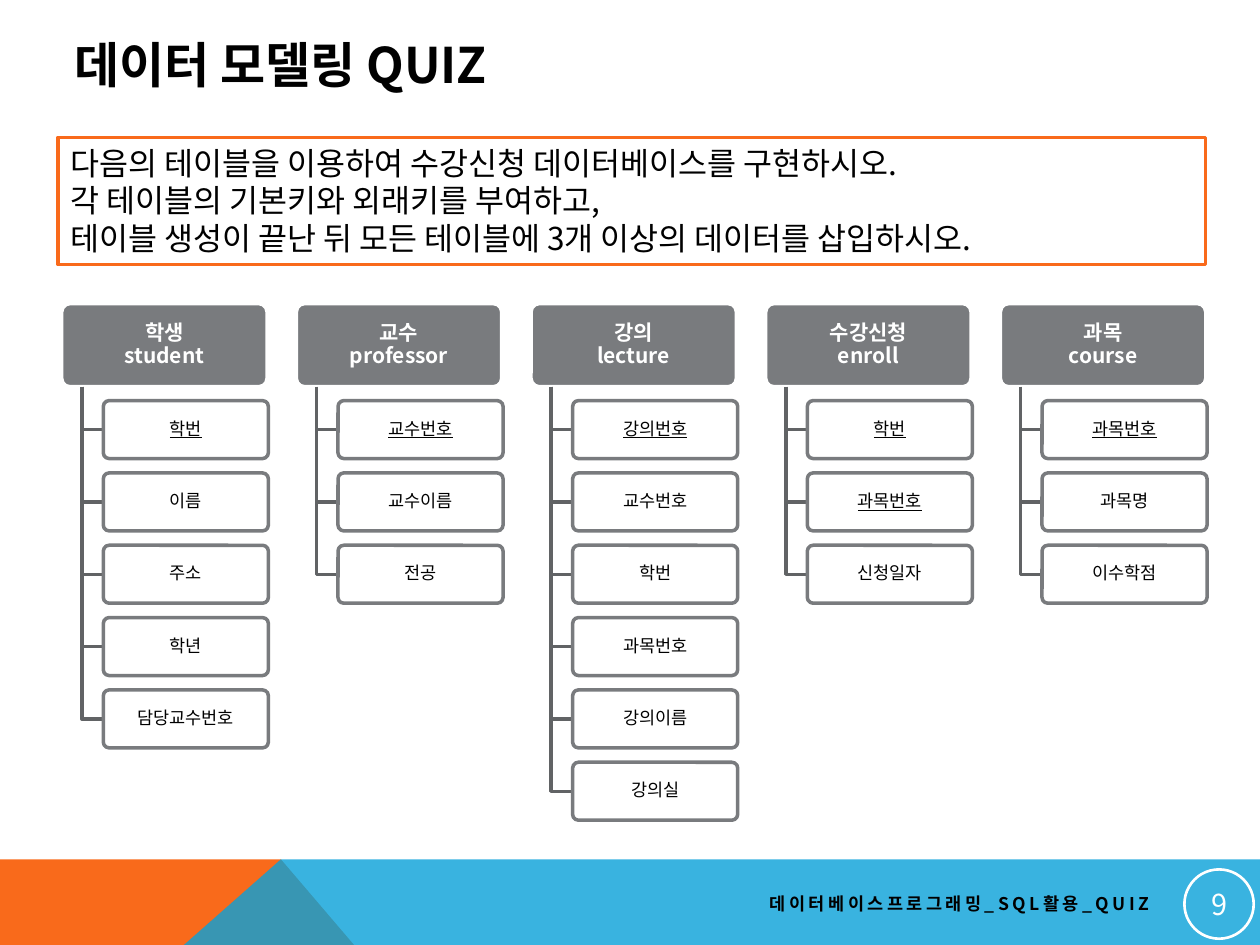
import copy
import pptx
import pptx.util
import pptx.dml.color
import pptx.enum.shapes
import pptx.enum.text
import pptx.oxml.ns
import lxml.etree

Inches = pptx.util.Inches
Pt = pptx.util.Pt
RGBColor = pptx.dml.color.RGBColor
Kind = pptx.enum.shapes.MSO_SHAPE
Align = pptx.enum.text.PP_ALIGN
Anchor = pptx.enum.text.MSO_ANCHOR
qn = pptx.oxml.ns.qn

FONT = "Noto Sans CJK KR"
WHITE = RGBColor(0xFF, 0xFF, 0xFF)
BLACK = RGBColor(0, 0, 0)
ORANGE = RGBColor(0xF9, 0x6A, 0x1B)
BLUE = RGBColor(0x08, 0xA1, 0xD9)
GRAY = RGBColor(0x79, 0x7B, 0x7E)
DARK = RGBColor(0x61, 0x63, 0x65)

# Table heading, fields, number of underlined key fields
TABLES = [
    ("학생\vstudent", ["학번", "이름", "주소", "학년", "담당교수번호"], 1),
    ("교수\vprofessor", ["교수번호", "교수이름", "전공"], 1),
    ("강의\vlecture",
     ["강의번호", "교수번호", "학번", "과목번호", "강의이름", "강의실"], 1),
    ("수강신청\venroll", ["학번", "과목번호", "신청일자"], 2),
    ("과목\vcourse", ["과목번호", "과목명", "이수학점"], 1),
]
TASK = [
    "다음의 테이블을 이용하여 수강신청 데이터베이스를 구현하시오.",
    "각 테이블의 기본키와 외래키를 부여하고,",
    "테이블 생성이 끝난 뒤 모든 테이블에 3개 이상의 데이터를 삽입하시오.",
]


def paint(shape, fill=None, line=None, width=2, alpha=None):
    shape.shadow.inherit = False
    if fill is None:
        shape.fill.background()
    else:
        shape.fill.solid()
        shape.fill.fore_color.rgb = fill
        if alpha:
            tint = shape.fill._xPr.find(".//" + qn("a:srgbClr"))
            lxml.etree.SubElement(tint, qn("a:alpha"), val=str(alpha * 1000))
    if line is None:
        shape.line.fill.background()
    else:
        shape.line.color.rgb = line
        shape.line.width = Pt(width)


def write(shape, lines, size, color, align=Align.LEFT, inset=(0.1, 0.05),
          para=None, track=None, anchor=Anchor.MIDDLE, **font):
    frame = shape.text_frame
    side, top = map(Inches, inset)
    form = dict(word_wrap=True, vertical_anchor=anchor, margin_left=side,
                margin_right=side, margin_top=top, margin_bottom=top)
    for key, val in form.items():
        setattr(frame, key, val)
    frame.text = "\n".join(lines)
    for p in frame.paragraphs:
        for key, val in dict(para or {}, alignment=align).items():
            setattr(p, key, val)
        for run in p.runs:
            for key, val in dict(font, size=Pt(size), name=FONT).items():
                setattr(run.font, key, val)
            run.font.color.rgb = color
            props = run._r.get_or_add_rPr()
            lxml.etree.SubElement(props, qn("a:ea"), typeface=FONT)
            if track:
                props.set("spc", str(track * 100))
        # Line breaks take the size of the text around them
        for gap in p._p.findall(qn("a:br")):
            gap.insert(0, copy.deepcopy(p.runs[0]._r.rPr))


def add_box(slide, kind, x, y, w, h, **look):
    box = slide.shapes.add_shape(kind, *map(Inches, (x, y, w, h)))
    paint(box, **look)
    if kind == Kind.ROUNDED_RECTANGLE:
        box.adjustments[0] = 0.1
    return box


def add_text(slide, x, y, w, h, lines, **form):
    box = slide.shapes.add_textbox(*map(Inches, (x, y, w, h)))
    write(box, lines, **form)


def add_path(slide, dots, close, **look):
    dots = [(Inches(x), Inches(y)) for x, y in dots]
    pen = slide.shapes.build_freeform(*dots[0])
    pen.add_line_segments(dots[1:], close=close)
    paint(pen.convert_to_shape(), **look)


def add_footer(slide, x, y, w, h):
    peak, low, far = x + 2.23, x + 1.46, x + 2.81
    end = y + h
    add_path(slide, [(x, y), (peak, y), (far, end), (x, end)], True,
             fill=ORANGE)
    add_path(slide, [(peak, y), (x + w, y), (x + w, end), (low, end)], True,
             fill=BLUE, alpha=80)
    add_text(slide, x + 3.58, y + 0.2, 5.64, 0.3,
             ["데이터베이스프로그래밍_SQL활용_QUIZ"], size=10, color=BLACK,
             align=Align.RIGHT, track=2, bold=True)
    disc = add_box(slide, Kind.OVAL, x + 9.4, y + 0.08, 0.55, 0.55,
                   line=WHITE, width=1.5)
    write(disc, ["9"], 16.5, WHITE, Align.CENTER, (0.01, 0.01))


def add_task(slide, x, y, w, h):
    box = add_box(slide, Kind.RECTANGLE, x, y, w, h, fill=WHITE, line=ORANGE)
    write(box, TASK, 18, BLACK, anchor=Anchor.TOP)


def add_tree(slide, x, y, w, h, name, fields, keys):
    tight = dict(line_spacing=0.9)
    head = add_box(slide, Kind.ROUNDED_RECTANGLE, x, y, w, h,
                   fill=GRAY, line=WHITE)
    write(head, [name], 12, WHITE, Align.CENTER, (0.05, 0.04), tight,
          bold=True)
    stem, left, tall, step = x + 0.16, x + 0.33, 0.46, 2.87 / 5
    for i, field in enumerate(fields):
        top = y + 0.77 + i * step
        mid = top + tall / 2
        add_path(slide, [(stem, y + h), (stem, mid), (left, mid)], False,
                 line=DARK)
        box = add_box(slide, Kind.ROUNDED_RECTANGLE, left, top, 1.31, tall,
                      fill=WHITE, alpha=90, line=GRAY)
        write(box, [field], 10, BLACK, Align.CENTER, (0.03, 0.02), tight,
              underline=True if i < keys else None)


def add_trees(slide, x, y, w):
    wide = 1.63
    step = (w - wide) / (len(TABLES) - 1)
    for i, table in enumerate(TABLES):
        add_tree(slide, x + i * step, y, wide, 0.66, *table)


deck = pptx.Presentation()
deck.slide_width, deck.slide_height = Inches(10), Inches(7.5)
page = deck.slides.add_slide(deck.slide_layouts[6])

# Footer band, task, table trees, title
add_footer(page, 0, 6.82, 10, 0.68)
add_task(page, 0.46, 1.09, 9.11, 1.01)
add_trees(page, 0.49, 2.41, 9.08)
add_text(page, 0.49, 0.21, 8.22, 0.6, ["데이터 모델링 QUIZ"],
         size=28, color=BLACK, bold=True)

deck.save("out.pptx")
